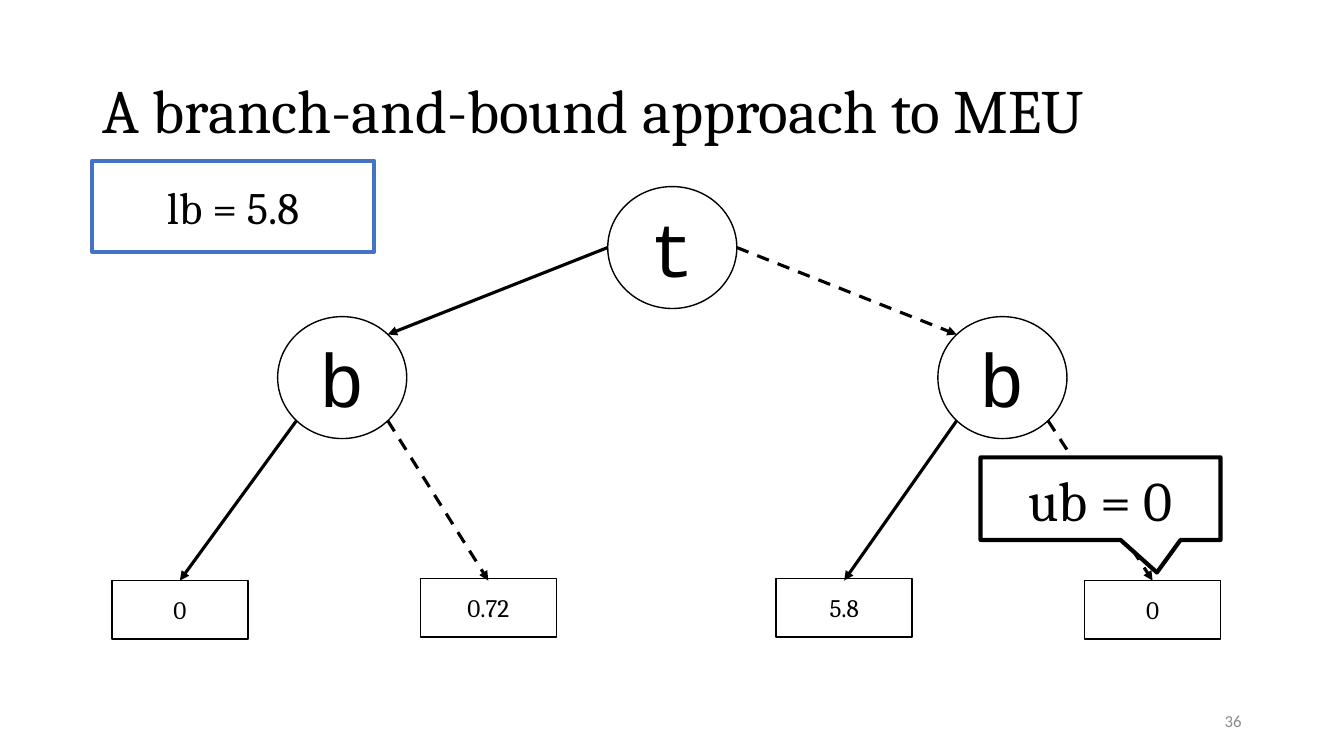
from math import sqrt

from lxml.etree import SubElement
from pptx import Presentation
from pptx.dml.color import RGBColor
from pptx.enum.dml import MSO_LINE
from pptx.enum.shapes import MSO_CONNECTOR, MSO_SHAPE
from pptx.enum.text import MSO_ANCHOR, PP_ALIGN
from pptx.oxml.ns import qn
from pptx.util import Pt

BLACK = RGBColor(0x00, 0x00, 0x00)
WHITE = RGBColor(0xFF, 0xFF, 0xFF)
BLUE = RGBColor(0x44, 0x72, 0xC4)
GRAY = RGBColor(0x8C, 0x8C, 0x8C)

NODE_WIDTH, NODE_HEIGHT = 92.2, 87.1
LEAF_WIDTH, LEAF_HEIGHT = 97.2, 41.8
ROOT_X, ROOT_Y = 480.2, 176.8
CHILD_Y = 269.7
CHILD_OFFSET = 235.8
EDGE_END_Y = 414.7
DIAGONAL_X = NODE_WIDTH / 2 / sqrt(2)
DIAGONAL_Y = NODE_HEIGHT / 2 / sqrt(2)


def write(host, text, size, font="Cambria", color=BLACK,
          align=PP_ALIGN.CENTER, spacing=1.0):
    frame = host.text_frame
    frame.word_wrap = True
    frame.vertical_anchor = MSO_ANCHOR.MIDDLE
    paragraph = frame.paragraphs[0]
    paragraph.alignment = align
    paragraph.line_spacing = spacing
    run = paragraph.add_run()
    run.text = text
    run.font.size = Pt(size)
    run.font.name = font
    run.font.color.rgb = color


def add_label(slide, left, top, width, height, text, size, **text_format):
    label = slide.shapes.add_textbox(Pt(left), Pt(top), Pt(width), Pt(height))
    write(label, text, size, **text_format)


def add_outlined(slide, kind, left, top, width, height, text, size,
                 line_width=1, line_color=BLACK, fill=None, **text_format):
    outlined = slide.shapes.add_shape(kind, Pt(left), Pt(top), Pt(width), Pt(height))
    outlined.shadow.inherit = False
    if fill is None:
        outlined.fill.background()
    else:
        outlined.fill.solid()
        outlined.fill.fore_color.rgb = fill
    outlined.line.color.rgb = line_color
    outlined.line.width = Pt(line_width)
    write(outlined, text, size, **text_format)
    return outlined


def add_node(slide, x, y, name):
    add_outlined(slide, MSO_SHAPE.OVAL, x - NODE_WIDTH / 2, y - NODE_HEIGHT / 2,
                 NODE_WIDTH, NODE_HEIGHT, name, 54, font="Courier New")


def add_leaf(slide, x, top, value):
    add_outlined(slide, MSO_SHAPE.RECTANGLE, x - LEAF_WIDTH / 2, top,
                 LEAF_WIDTH, LEAF_HEIGHT, value, 18)


def add_edge(slide, start_x, start_y, end_x, end_y, dashed):
    edge = slide.shapes.add_connector(
        MSO_CONNECTOR.STRAIGHT, Pt(start_x), Pt(start_y), Pt(end_x), Pt(end_y))
    edge.line.color.rgb = BLACK
    edge.line.width = Pt(2.25)
    if dashed:
        edge.line.dash_style = MSO_LINE.DASH
    properties = edge.element.spPr
    SubElement(properties.find(qn("a:ln")), qn("a:tailEnd"), type="triangle")
    SubElement(properties, qn("a:effectLst"))


def add_tree(slide):
    add_node(slide, ROOT_X, ROOT_Y, "t")
    branches = [
        (-1, [(128.5, 414.7, "0"), (348.8, 413.3, "0.72")]),
        (1, [(603, 413.3, "5.8"), (823.3, 414.7, "0")]),
    ]
    for side, leaves in branches:
        child_x = ROOT_X + side * CHILD_OFFSET
        add_node(slide, child_x, CHILD_Y, "b")
        add_edge(slide, ROOT_X + side * NODE_WIDTH / 2, ROOT_Y,
                 child_x - side * DIAGONAL_X, CHILD_Y - DIAGONAL_Y, side > 0)
        for leaf_side, (leaf_x, leaf_top, value) in zip((-1, 1), leaves):
            add_edge(slide, child_x + leaf_side * DIAGONAL_X, CHILD_Y + DIAGONAL_Y,
                     leaf_x, EDGE_END_Y, leaf_side > 0)
            add_leaf(slide, leaf_x, leaf_top, value)


def main():
    presentation = Presentation()
    presentation.slide_width = Pt(960)
    presentation.slide_height = Pt(540)
    slide = presentation.slides.add_slide(presentation.slide_layouts[6])

    add_label(slide, 66, 28.8, 828, 104.4, "A branch-and-bound approach to MEU", 44,
              align=PP_ALIGN.LEFT, spacing=0.9)
    add_tree(slide)
    upper_bound = add_outlined(slide, MSO_SHAPE.RECTANGULAR_CALLOUT, 700.4, 326.7,
                               171.4, 59, "ub = 0", 40, line_width=3, fill=WHITE)
    upper_bound.adjustments[0] = 0.235
    upper_bound.adjustments[1] = 0.894
    add_outlined(slide, MSO_SHAPE.RECTANGLE, 66, 114.8, 201.2, 65, "lb = 5.8", 32,
                 line_width=3, line_color=BLUE)
    add_label(slide, 678, 500.5, 216, 28.8, "36", 12, font="Calibri", color=GRAY,
              align=PP_ALIGN.RIGHT)

    presentation.save("out.pptx")


if __name__ == "__main__":
    main()
